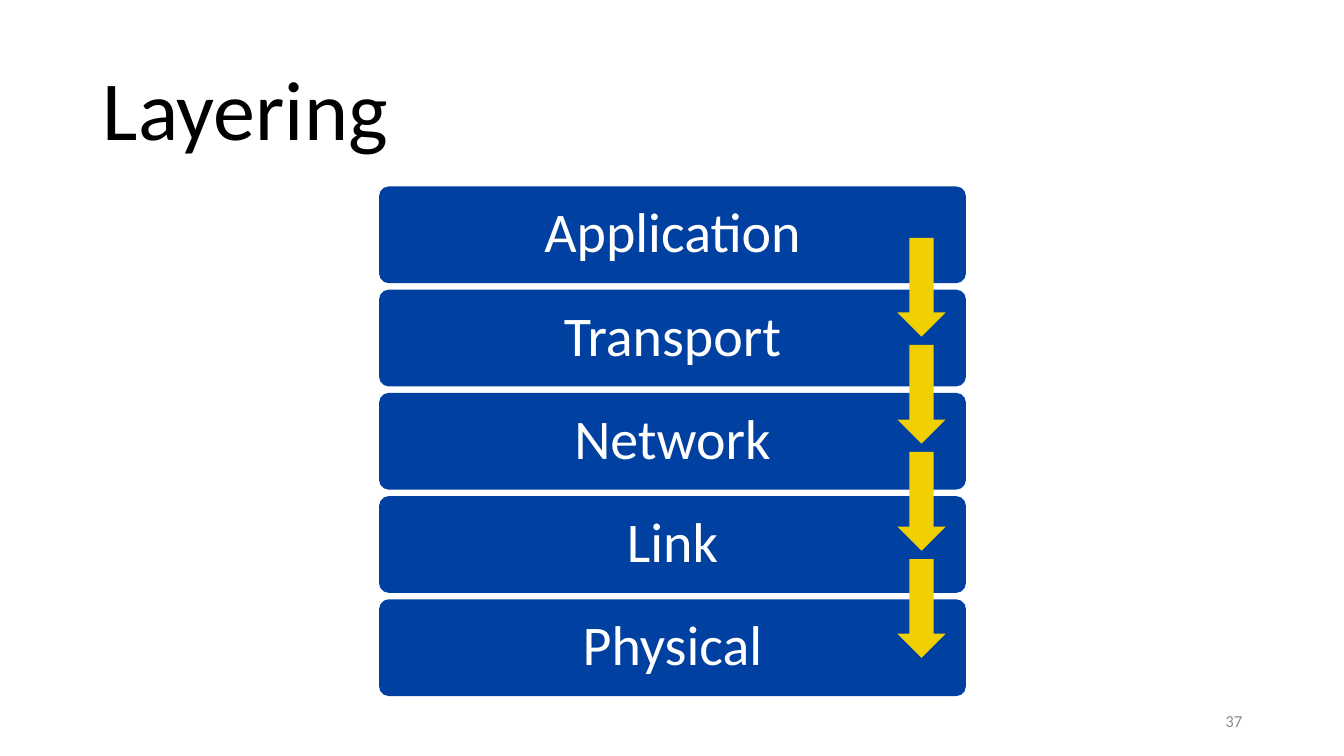
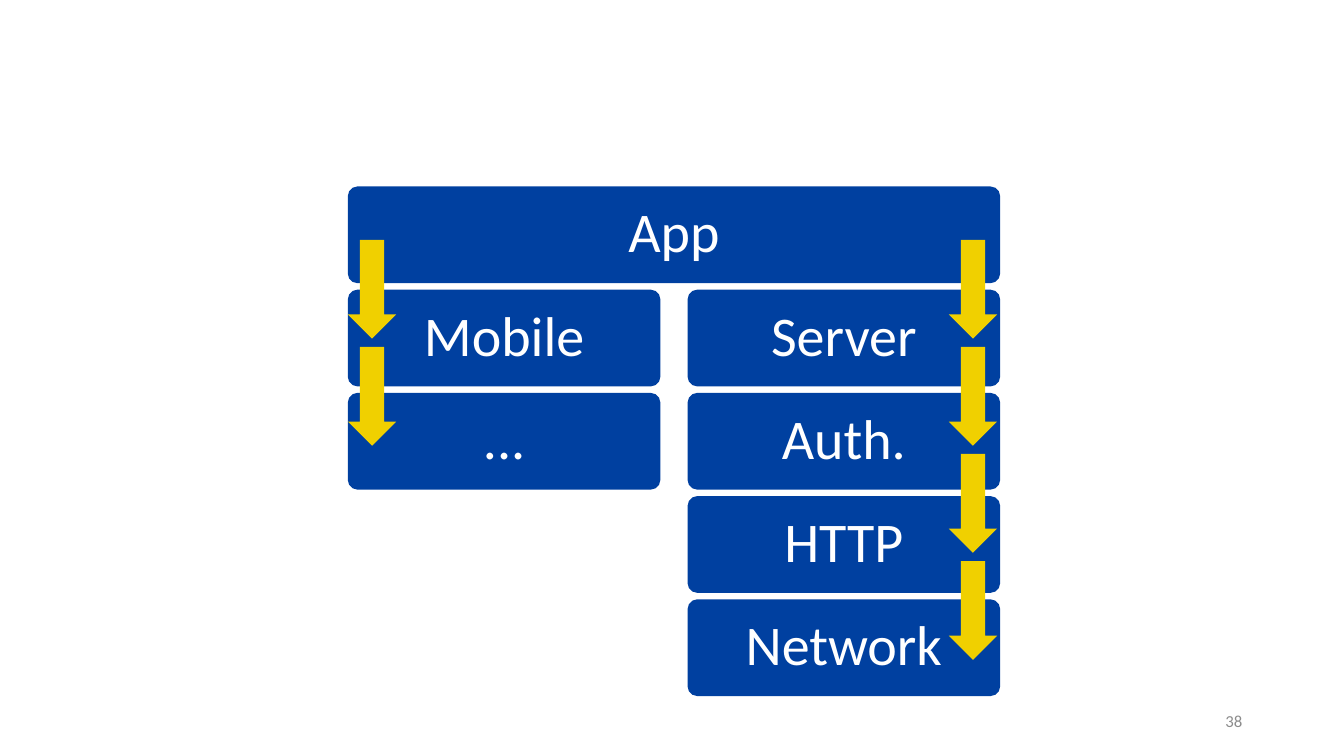
from pptx import Presentation
from pptx.dml.color import RGBColor
from pptx.enum.shapes import MSO_SHAPE
from pptx.enum.text import MSO_ANCHOR, PP_ALIGN
from pptx.util import Inches, Pt

# Shared style
BLUE = RGBColor(0x00, 0x40, 0xA0)
YELLOW = RGBColor(0xF0, 0xD0, 0x00)
WHITE = RGBColor(0xFF, 0xFF, 0xFF)
BLACK = RGBColor(0x00, 0x00, 0x00)
GREY = RGBColor(0x8C, 0x8C, 0x8C)
FONT = "Calibri"
ROUNDED, DOWN_ARROW = MSO_SHAPE.ROUNDED_RECTANGLE, MSO_SHAPE.DOWN_ARROW
LEFT, CENTER, RIGHT = PP_ALIGN.LEFT, PP_ALIGN.CENTER, PP_ALIGN.RIGHT
MIDDLE = MSO_ANCHOR.MIDDLE
TITLE_ONLY, BLANK = 5, 6

# Layer and arrow grid, in inches
TOP = 1.85
LAYER_H, LAYER_STEP = 0.96, 1.024
ARROW_W, ARROW_H, ARROW_STEP = 0.48, 0.98, 1.062


def set_text(sp, text, size, color, align=LEFT, spacing=None, inset=None):
    tf = sp.text_frame
    tf.word_wrap = True
    tf.vertical_anchor = MIDDLE
    if inset is not None:
        tf.margin_left = tf.margin_right = Inches(inset)
        tf.margin_top = tf.margin_bottom = Inches(inset)
    p = tf.paragraphs[0]
    p.alignment = align
    if spacing:
        p.line_spacing = spacing
    r = p.add_run()
    r.text = text
    r.font.name, r.font.size = FONT, Pt(size)
    r.font.color.rgb = color


def add_box(s, kind, x, y, w, h, color):
    sp = s.shapes.add_shape(kind, Inches(x), Inches(y), Inches(w), Inches(h))
    sp.shadow.inherit = False
    sp.fill.solid()
    sp.fill.fore_color.rgb = color
    sp.line.fill.background()
    return sp


def add_layers(s, labels, x, y, w):
    """Stack one rounded bar per label, downwards from (x, y)."""
    for i, label in enumerate(labels):
        sp = add_box(s, ROUNDED, x, y + i * LAYER_STEP, w, LAYER_H, BLUE)
        sp.adjustments[0] = 0.1
        set_text(sp, label, 40, WHITE, CENTER, spacing=0.9, inset=0.19)


def add_arrows(s, count, x, y):
    for i in range(count):
        add_box(s, DOWN_ARROW, x, y + i * ARROW_STEP, ARROW_W, ARROW_H, YELLOW)


def add_slide(prs, number, title=None):
    s = prs.slides.add_slide(prs.slide_layouts[TITLE_ONLY if title else BLANK])
    if title:
        sp = s.shapes.title
        sp.left, sp.top = Inches(0.92), Inches(0.4)
        sp.width, sp.height = Inches(11.5), Inches(1.45)
        set_text(sp, title, 60, BLACK, spacing=0.9)
    # Slide number
    sp = s.shapes.add_textbox(Inches(9.42), Inches(6.95), Inches(3), Inches(0.4))
    set_text(sp, str(number), 12, GREY, RIGHT)
    return s


def layering_slide(prs):
    s = add_slide(prs, 37, "Layering")
    layers = ["Application", "Transport", "Network", "Link", "Physical"]
    add_layers(s, layers, 3.76, TOP, 5.82)
    add_arrows(s, len(layers) - 1, 8.9, 2.36)


def app_slide(prs):
    s = add_slide(prs, 38)
    x, w, column_w = 3.45, 6.47, 3.1
    right = x + w
    mobile = ["Mobile", "..."]
    server = ["Server", "Auth.", "HTTP", "Network"]
    # App bar spanning both columns
    add_layers(s, ["App"], x, TOP, w)
    add_layers(s, mobile, x, TOP + LAYER_STEP, column_w)
    add_layers(s, server, right - column_w, TOP + LAYER_STEP, column_w)
    # Arrows down each column
    add_arrows(s, len(server), right - ARROW_W - 0.03, 2.38)
    add_arrows(s, len(mobile), x, 2.38)


def main():
    prs = Presentation()
    prs.slide_width, prs.slide_height = Inches(13.33), Inches(7.5)
    layering_slide(prs)
    app_slide(prs)
    prs.save("out.pptx")


if __name__ == "__main__":
    main()
